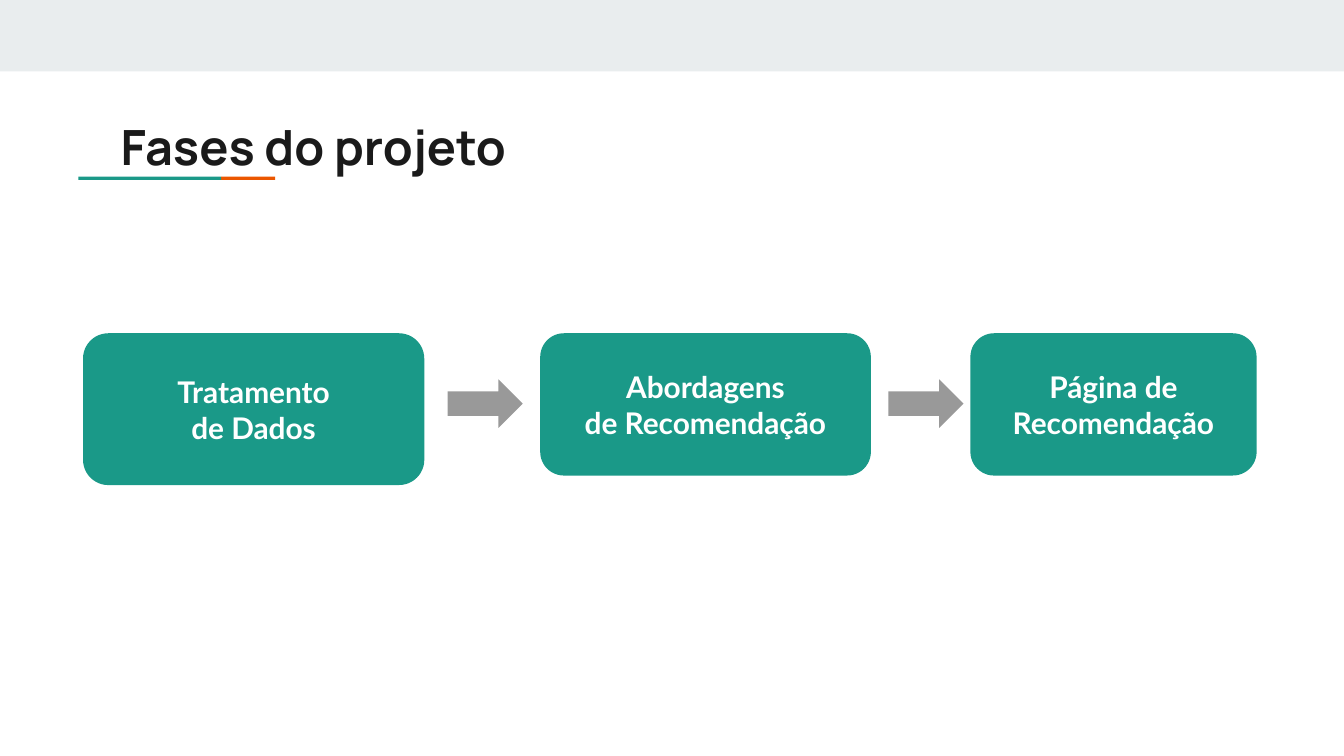
from pptx import Presentation
from pptx.dml.color import RGBColor
from pptx.enum.shapes import MSO_SHAPE as Shape
from pptx.enum.text import MSO_ANCHOR as Anchor, PP_ALIGN as Align
from pptx.util import Cm, Pt

TEAL = RGBColor(0x1A, 0x99, 0x88)
ORANGE = RGBColor(0xEB, 0x56, 0x00)
MIST = RGBColor(0xE9, 0xED, 0xEE)
GRAY = RGBColor(0x99, 0x99, 0x99)
INK = RGBColor(0x1A, 0x1A, 0x1A)
WHITE = RGBColor(0xFF, 0xFF, 0xFF)


class Deck:
    """Draws the project phases in one shared style."""

    def __init__(self, slide):
        self.slide = slide
        self.inset = Cm(0.25)

    def shape(self, kind, color, *box):
        item = self.slide.shapes.add_shape(kind, *map(Cm, box))
        item.shadow.inherit = False
        item.fill.solid()
        item.fill.fore_color.rgb = color
        item.line.fill.background()
        return item

    def label(self, frame, text, face, size, color, align):
        frame.word_wrap = True
        frame.margin_left = frame.margin_right = self.inset
        frame.margin_top = frame.margin_bottom = self.inset
        frame.text = text
        for para in frame.paragraphs:
            para.alignment = align
            font = para.font
            font.name, font.size, font.bold = face, Pt(size), True
            font.color.rgb = color

    def title(self, text, *box):
        frame = self.slide.shapes.add_textbox(*map(Cm, box)).text_frame
        self.label(frame, text, "Manrope", 26, INK, Align.LEFT)
        frame.vertical_anchor = Anchor.TOP

    def phase(self, text, *box):
        card = self.shape(Shape.ROUNDED_RECTANGLE, TEAL, *box)
        self.label(card.text_frame, text, "Lato", 16, WHITE, Align.CENTER)
        card.text_frame.vertical_anchor = Anchor.MIDDLE

    def bar(self, color, *box):
        self.shape(Shape.RECTANGLE, color, *box)

    def arrow(self, left):
        self.shape(Shape.RIGHT_ARROW, GRAY, left, 7.17, 1.42, 0.92)


def main():
    prs = Presentation()
    prs.slide_width, prs.slide_height = Cm(25.4), Cm(14.29)
    deck = Deck(prs.slides.add_slide(prs.slide_layouts[6]))

    deck.bar(MIST, 0, 0, 25.4, 1.35)
    deck.bar(ORANGE, 4.18, 3.34, 1.02, 0.06)
    deck.bar(TEAL, 1.48, 3.34, 2.7, 0.06)
    deck.title("Fases do projeto", 2.03, 1.96, 21.36, 1.5)

    phases = [
        ("Tratamento\nde Dados", 1.57, 6.45, 2.87),
        ("Abordagens\nde Recomendação", 10.21, 6.25, 2.69),
        ("Página de Recomendação", 18.34, 5.41, 2.69),
    ]
    for text, left, width, height in phases:
        deck.phase(text, left, 6.3, width, height)
    for left in (8.46, 16.79):
        deck.arrow(left)

    prs.save("out.pptx")


if __name__ == "__main__":
    main()
